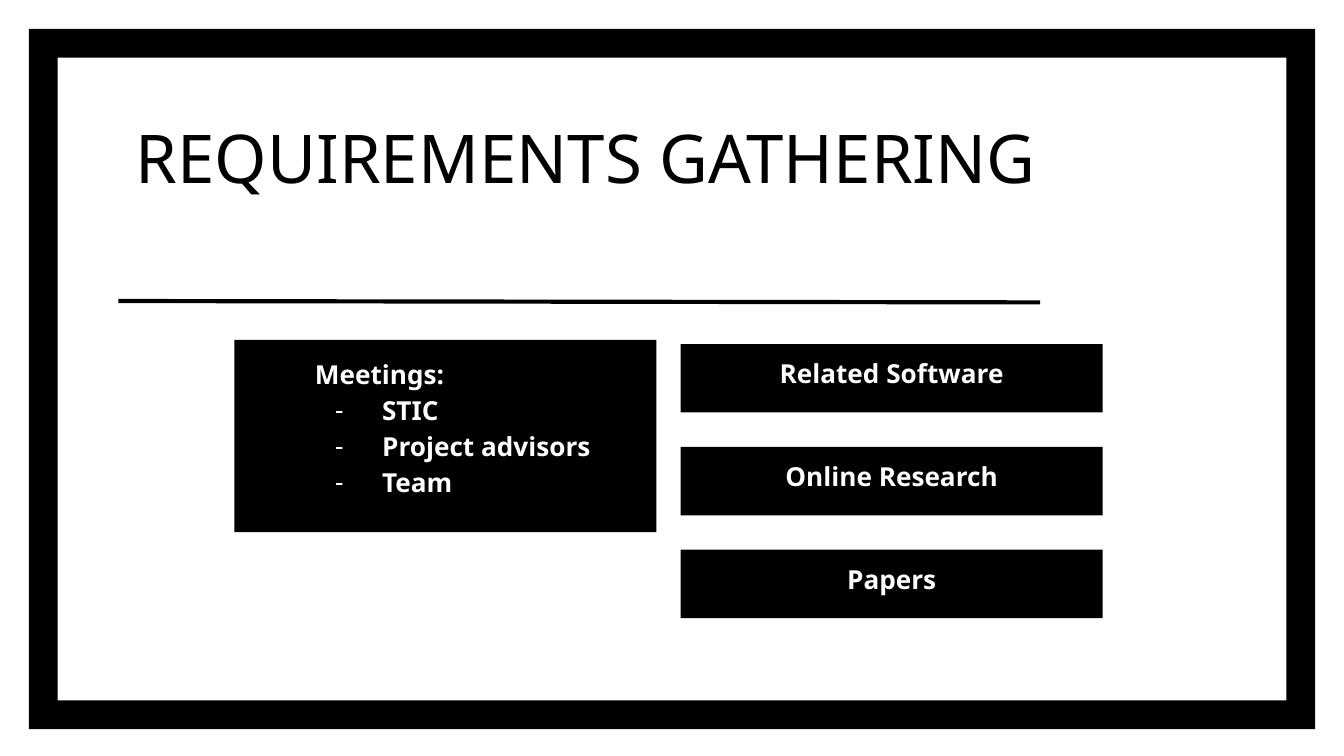
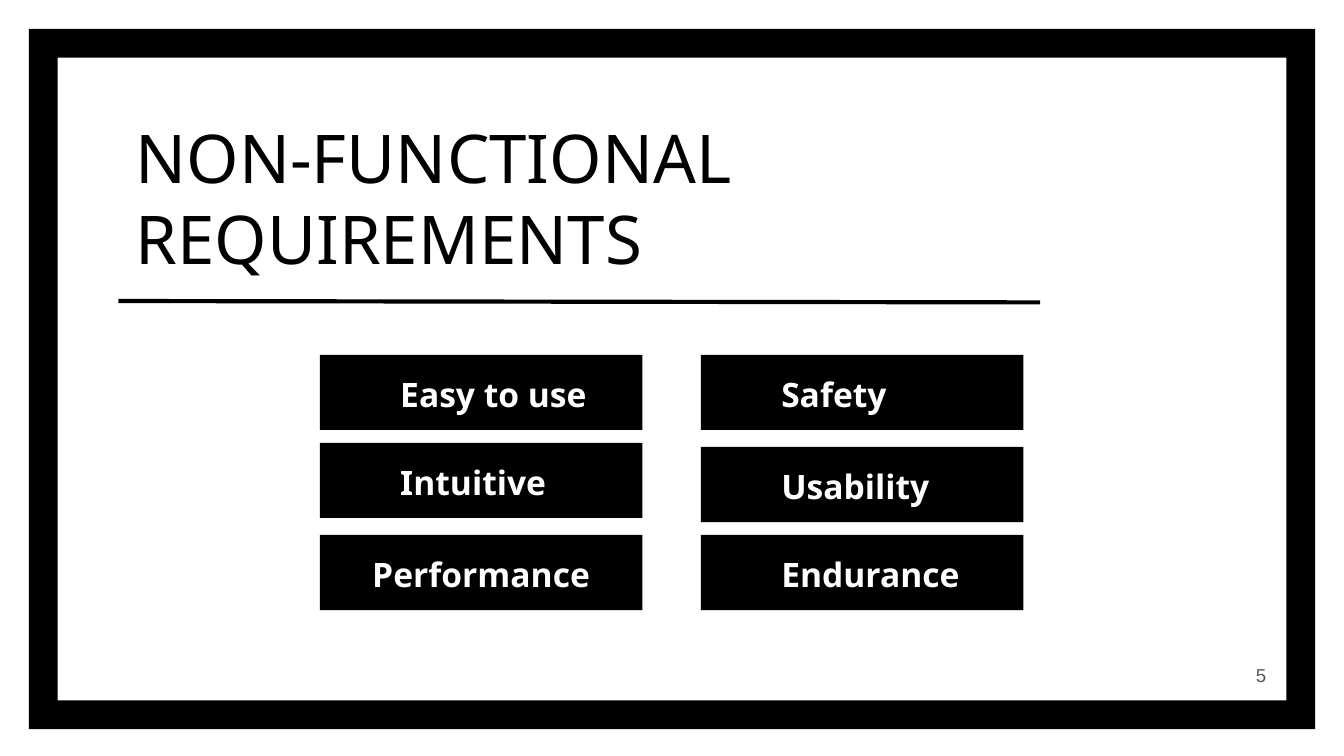
from lxml import etree
from pptx import Presentation
from pptx import util as u
from pptx.dml.color import RGBColor
from pptx.enum import shapes, text
from pptx.oxml import ns

BLACK = RGBColor(0x00, 0x00, 0x00)
WHITE = RGBColor(0xFF, 0xFF, 0xFF)
GRAY = RGBColor(0x59, 0x59, 0x59)
FONT = "Noto Sans"
NUMBER_FONT = "Arial"
LEFT, CENTER = text.PP_ALIGN.LEFT, text.PP_ALIGN.CENTER
RIGHT, JUSTIFY = text.PP_ALIGN.RIGHT, text.PP_ALIGN.JUSTIFY
TOP, MIDDLE = text.MSO_ANCHOR.TOP, text.MSO_ANCHOR.MIDDLE
INSET = 20


def px(length):
    """200 px to the inch."""
    return u.Emu(length * 4572)


def add_dash(paragraph, color):
    properties = paragraph._p.get_or_add_pPr()
    bullet_color = etree.SubElement(properties, ns.qn("a:buClr"))
    etree.SubElement(bullet_color, ns.qn("a:srgbClr"), val=str(color))
    etree.SubElement(properties, ns.qn("a:buFont"), typeface=FONT)
    etree.SubElement(properties, ns.qn("a:buChar"), char="-")


def write(shape, lines, size, color, font=FONT, bold=False, align=LEFT,
          anchor=TOP, spacing=None, indent=0, dashes=False):
    """Fill a shape with lines; dashes turns all but the first into bullets."""
    frame = shape.text_frame
    frame.word_wrap = True
    frame.auto_size = text.MSO_AUTO_SIZE.NONE
    frame.vertical_anchor = anchor
    frame.margin_left = frame.margin_right = px(INSET)
    frame.margin_top = frame.margin_bottom = px(INSET)
    for index, line in enumerate(lines):
        paragraph = frame.add_paragraph() if index else frame.paragraphs[0]
        paragraph.alignment = align
        if spacing:
            paragraph.line_spacing = spacing
        bulleted = dashes and index > 0
        properties = paragraph._p.get_or_add_pPr()
        properties.set("marL", str(px(200 if bulleted else indent)))
        properties.set("indent", str(px(-70 if bulleted else 0)))
        if bulleted:
            add_dash(paragraph, color)
        run = paragraph.add_run()
        run.text = line
        run.font.name = font
        run.font.size = u.Pt(size)
        run.font.bold = bold
        run.font.color.rgb = color


class Deck:
    def __init__(self):
        self.presentation = Presentation()
        self.presentation.slide_width = px(2000)
        self.presentation.slide_height = px(1125)
        self.slide = None

    def add_slide(self, title, title_height):
        layout = self.presentation.slide_layouts.get_by_name("Title Only")
        self.slide = self.presentation.slides.add_slide(layout)
        self.slide.background.fill.solid()
        self.slide.background.fill.fore_color.rgb = WHITE
        border = self.shape(shapes.MSO_SHAPE.FRAME, 43, 43, 1914, 1042)
        border.adjustments[0] = 0.041
        self.title(title, title_height)
        self.line(176, 448, 1548, 450)

    def title(self, lines, height):
        shape = self.slide.shapes.title
        shape.left, shape.top = px(182), px(153)
        shape.width, shape.height = px(1434), px(height)
        write(shape, lines, 36, BLACK)

    def shape(self, kind, left, top, width, height):
        shape = self.slide.shapes.add_shape(
            kind, px(left), px(top), px(width), px(height))
        shape.shadow.inherit = False
        shape.fill.solid()
        shape.fill.fore_color.rgb = BLACK
        shape.line.fill.background()
        return shape

    def block(self, left, top, width, height, lines, size, **style):
        shape = self.shape(shapes.MSO_SHAPE.RECTANGLE, left, top, width, height)
        write(shape, lines, size, WHITE, bold=True, **style)

    def line(self, x1, y1, x2, y2):
        connector = self.slide.shapes.add_connector(
            shapes.MSO_CONNECTOR.STRAIGHT, px(x1), px(y1), px(x2), px(y2))
        connector.line.color.rgb = BLACK
        connector.line.width = u.Pt(2.25)
        etree.SubElement(connector._element.spPr, ns.qn("a:effectLst"))

    def page_number(self, number):
        box = self.slide.shapes.add_textbox(
            px(1784), px(961), px(120), px(86))
        write(box, [str(number)], 10, GRAY, font=NUMBER_FONT, align=RIGHT,
              anchor=MIDDLE)


def requirements_gathering(deck):
    deck.add_slide(["REQUIREMENTS GATHERING"], 286)
    # Meetings with their participants
    deck.block(349, 506, 628, 286,
               ["Meetings:", "STIC", "Project advisors", "Team"], 14,
               spacing=1.15, indent=100, dashes=True)
    # Other sources, evenly stacked
    sources = ["Related Software", "Online Research", "Papers"]
    for row, source in enumerate(sources):
        deck.block(1013, 512 + 153 * row, 628, 102, [source], 14,
                   align=CENTER)


def non_functional_requirements(deck):
    deck.add_slide(["NON-FUNCTIONAL", "REQUIREMENTS"], 402)
    deck.page_number(5)
    # Two columns of qualities; the middle row is slightly staggered
    columns = [
        (476, (528, 659, 796), ["Easy to use", "Intuitive", "Performance"]),
        (1043, (528, 665, 796), ["Safety", "Usability", "Endurance"]),
    ]
    for left, tops, qualities in columns:
        for top, quality in zip(tops, qualities):
            centered = quality == "Performance"
            deck.block(left, top, 480, 112, [quality], 18, spacing=1.15,
                       align=CENTER if centered else JUSTIFY,
                       indent=0 if centered else 100)


def main():
    deck = Deck()
    requirements_gathering(deck)
    non_functional_requirements(deck)
    deck.presentation.save("out.pptx")


if __name__ == "__main__":
    main()
